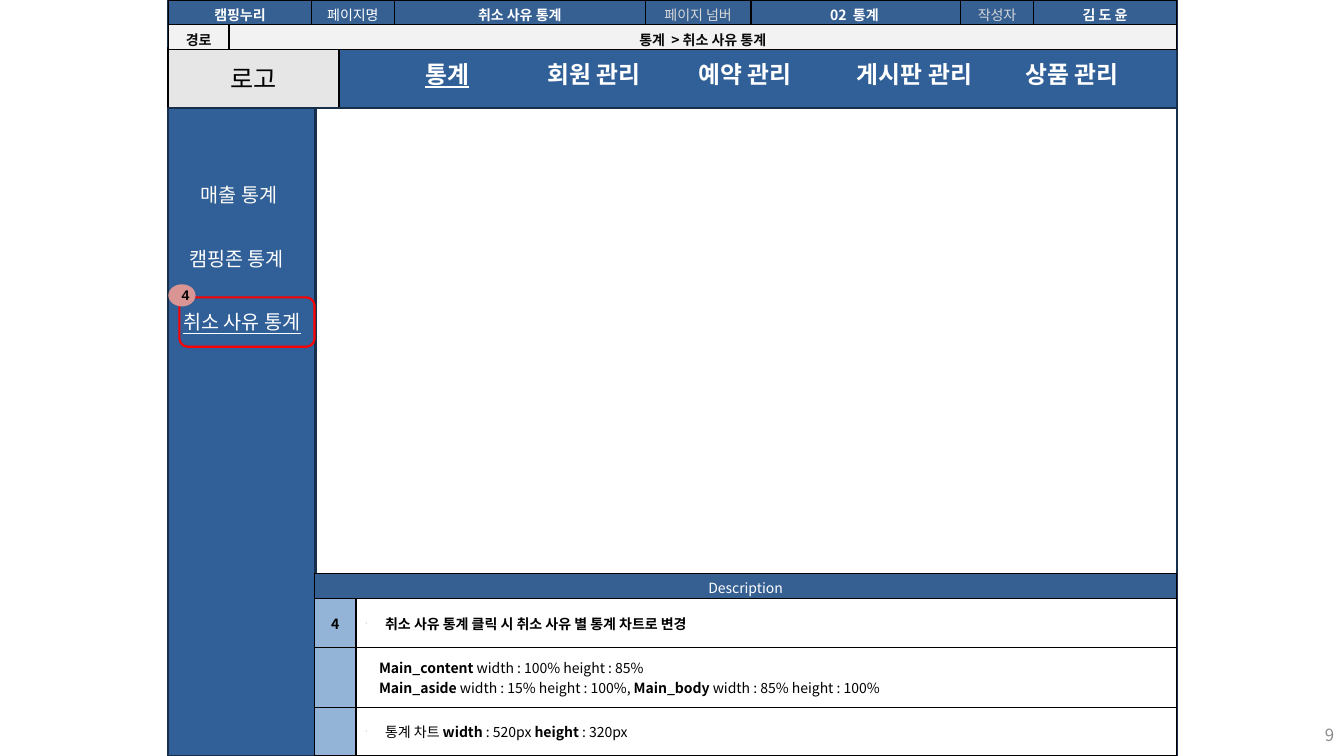
import pptx
import pptx.util
import pptx.dml.color
import pptx.enum.shapes
import pptx.enum.text
import pptx.oxml
import pptx.oxml.ns
from lxml import etree

# Content
FONT = "Noto Sans CJK KR"
C = {"navy": "182F4B", "blue": "315F97", "head": "366092", "light": "93B3D7",
     "logo": "E6E6E6", "path": "F2F2F2", "mark": "D99593", "red": "FF0000",
     "black": "000000", "ink": "0C0C0C", "white": "FFFFFF", "cream": "FCFCF9",
     "muted": "D8D8D8", "number": "8C8C8C"}
# label, left, width, underlined
NAV = [("통계", 4.12, 0.67, True), ("회원 관리", 5.33, 1.18, False),
       ("예약 관리", 6.83, 1.19, False), ("게시판 관리", 8.4, 1.41, False),
       ("상품 관리", 10.07, 1.18, False)]
# label, left, width, colour, underlined
MENU = [("매출 통계", 1.89, 1.01, "cream", False),
        ("캠핑존 통계", 1.78, 1.2, "white", False),
        ("취소 사유 통계", 1.72, 1.46, "white", True)]
# text, colour, bold, column
INFO = [("캠핑누리", "white", True, 0), ("페이지명", "white", False, 2),
        ("취소 사유 통계", "white", True, 3), ("페이지 넘버", "muted", False, 4),
        ("02  통계 ", "white", True, 5), ("작성자", "muted", False, 6),
        ("김 도 윤", "white", True, 7)]
ROUTE = ("경로", "통계  > 취소 사유 통계")
# number, bulleted, paragraphs of (text, bold) runs
NOTES = [
    ("4", True, [[("취소 사유 통계 클릭 시 취소 사유 별 통계 차트로 변경", True)]]),
    ("", False, [[("Main_content ", True), ("width : 100% height : 85%", False)],
                 [("Main_aside", True), (" width : 15% height : 100%, ", False),
                  ("Main_body ", True), ("width : 85% height : 100%", False)]]),
    ("", True, [[("통계 차트 ", False), ("width", True), (" : 520px ", False),
                 ("height", True), (" : 320px", False)]])]

# Page grid
W, H = 13.33, 7.5
LEFT, PAGE_W = 1.67, 10
INFO_H, HEAD_H, ASIDE_W = 0.48, 1.07, 1.46
BODY_X = LEFT + ASIDE_W - 0.01
BODY_W = LEFT + PAGE_W - BODY_X
INFO_COLS = [0.6, 0.82, 0.82, 2.49, 1.05, 2.08, 0.72, 1.42]
NOTE_COLS, NOTE_ROWS = [0.41, BODY_W - 0.41], [0.24, 0.49, 0.59, 0.48]
MENU_TOP, MENU_STEP = 1.77, 0.63

inch, Pt = pptx.util.Inches, pptx.util.Pt
SHAPE = pptx.enum.shapes.MSO_SHAPE
ALIGN, ANCHOR = pptx.enum.text.PP_ALIGN, pptx.enum.text.MSO_ANCHOR

prs = pptx.Presentation()
prs.slide_width, prs.slide_height = inch(W), inch(H)
s = prs.slides.add_slide(prs.slide_layouts[6])


def rgb(name):
    return pptx.dml.color.RGBColor.from_string(C[name])


def add_run(p, text, size, color, bold=False, underline=False, font=FONT):
    r = p.add_run()
    r.text = text
    r.font.size, r.font.name = Pt(size), font
    r.font.bold, r.font.underline = bold, underline
    r.font.color.rgb = rgb(color)
    ea = etree.SubElement(r._r.get_or_add_rPr(), pptx.oxml.ns.qn("a:ea"))
    ea.set("typeface", font)


def add_box(kind, x, y, w, h, fill=None, line=None):
    sp = s.shapes.add_shape(kind, inch(x), inch(y), inch(w), inch(h))
    sp.shadow.inherit = False
    if fill:
        sp.fill.solid()
        sp.fill.fore_color.rgb = rgb(fill)
    else:
        sp.fill.background()
    if line:
        sp.line.color.rgb, sp.line.width = rgb(line), Pt(1.5)
    else:
        sp.line.fill.background()
    return sp


def add_label(sp, text, size, color, align=ALIGN.CENTER, **style):
    tf = sp.text_frame
    tf.vertical_anchor = ANCHOR.MIDDLE
    tf.paragraphs[0].alignment = align
    add_run(tf.paragraphs[0], text, size, color, **style)


def add_text(x, y, w, h, text, size, color, **style):
    tf = s.shapes.add_textbox(inch(x), inch(y), inch(w), inch(h)).text_frame
    tf.word_wrap = False
    tf.auto_size = pptx.enum.text.MSO_AUTO_SIZE.SHAPE_TO_FIT_TEXT
    add_run(tf.paragraphs[0], text, size, color, **style)


def add_grid(x, y, cols, rows):
    t = s.shapes.add_table(len(rows), len(cols), inch(x), inch(y),
                           inch(sum(cols)), inch(sum(rows))).table
    for col, w in zip(t.columns, cols):
        col.width = inch(w)
    for row, h in zip(t.rows, rows):
        row.height = inch(h)
    return t


def style_cell(cell, fill, side=0.1, anchor=ANCHOR.MIDDLE, right=1):
    cell.margin_left = cell.margin_right = inch(side)
    cell.margin_top = cell.margin_bottom = inch(0.04)
    cell.vertical_anchor = anchor
    pr = cell._tc.get_or_add_tcPr()
    for edge, pt in (("L", 1), ("R", right), ("T", 1), ("B", 1)):
        pr.append(pptx.oxml.parse_xml(
            f'<a:ln{edge} {pptx.oxml.ns.nsdecls("a")} w="{Pt(pt)}"><a:solidFill>'
            f'<a:srgbClr val="{C["black"]}"/></a:solidFill></a:ln{edge}>'))
    cell.fill.solid()
    cell.fill.fore_color.rgb = rgb(fill)
    return cell.text_frame.paragraphs[0]


def add_cell(cell, text, fill, color, bold=False, **style):
    p = style_cell(cell, fill, **style)
    p.alignment = ALIGN.CENTER
    if text:
        add_run(p, text, 10, color, bold)


def indent(p, bulleted):
    pr = p._p.get_or_add_pPr()
    pr.set("marL", str(inch(0.19 if bulleted else 0.13)))
    pr.set("indent", str(-inch(0.19) if bulleted else 0))
    if bulleted:
        color = etree.SubElement(pr, pptx.oxml.ns.qn("a:buClr"))
        etree.SubElement(color, pptx.oxml.ns.qn("a:srgbClr")).set("val", C["black"])
        etree.SubElement(pr, pptx.oxml.ns.qn("a:buSzPct")).set("val", "25000")
        etree.SubElement(pr, pptx.oxml.ns.qn("a:buChar")).set("char", "-")


# Page frame, header, logo slot, aside and body
add_box(SHAPE.RECTANGLE, LEFT, 0, PAGE_W, H, None, "navy")
add_box(SHAPE.RECTANGLE, LEFT, 0, PAGE_W, HEAD_H, "blue", "navy")
logo = add_box(SHAPE.RECTANGLE, LEFT, INFO_H, 1.69, HEAD_H - INFO_H, "logo", "black")
add_label(logo, "로고", 18, "black")
add_box(SHAPE.RECTANGLE, LEFT, HEAD_H, ASIDE_W, H - HEAD_H, "blue", "navy")
add_box(SHAPE.RECTANGLE, BODY_X, HEAD_H, BODY_W, H - HEAD_H, None, "navy")

# Top navigation
for text, x, w, underline in NAV:
    add_text(x, 0.54, w, 0.39, text, 17, "white", bold=True, underline=underline)

# Side menu with its numbered highlight
add_box(SHAPE.ROUNDED_RECTANGLE, 1.78, 2.95, 1.34, 0.49, None, "red")
mark = add_box(SHAPE.OVAL, LEFT, 2.82, 0.27, 0.22, "mark")
add_label(mark, "4", 10, "black", bold=True, font="Arial")
for i, (text, x, w, color, underline) in enumerate(MENU):
    add_text(x, MENU_TOP + i * MENU_STEP, w, 0.32, text, 14, color, underline=underline)

# Description table
t = add_grid(BODY_X, 5.69, NOTE_COLS, NOTE_ROWS)
t.cell(0, 0).merge(t.cell(0, 1))
add_cell(t.cell(0, 0), "Description", "head", "white")
style_cell(t.cell(0, 1), "head")
for i, (number, bulleted, paragraphs) in enumerate(NOTES, 1):
    add_cell(t.cell(i, 0), number, "light", "black", True)
    p = style_cell(t.cell(i, 1), "white")
    for j, runs in enumerate(paragraphs):
        p = t.cell(i, 1).text_frame.add_paragraph() if j else p
        indent(p, bulleted)
        for text, bold in runs:
            add_run(p, text, 10, "black", bold)

# Page information table
t = add_grid(LEFT, 0, INFO_COLS, [INFO_H / 2] * 2)
t.cell(0, 0).merge(t.cell(0, 1))
t.cell(1, 1).merge(t.cell(1, len(INFO_COLS) - 1))
for text, color, bold, col in INFO:
    add_cell(t.cell(0, col), text, "head", color, bold, side=0.09, anchor=ANCHOR.TOP)
for col, text in enumerate(ROUTE):
    add_cell(t.cell(1, col), text, "path", "ink", True, side=0.09, right=2 - col)

# Page number
sp = s.shapes.add_textbox(inch(W - 3.11), inch(7.09), inch(3.11), inch(0.4))
sp.text_frame.word_wrap = True
add_label(sp, "9", 12, "number", ALIGN.RIGHT)

prs.save("out.pptx")
